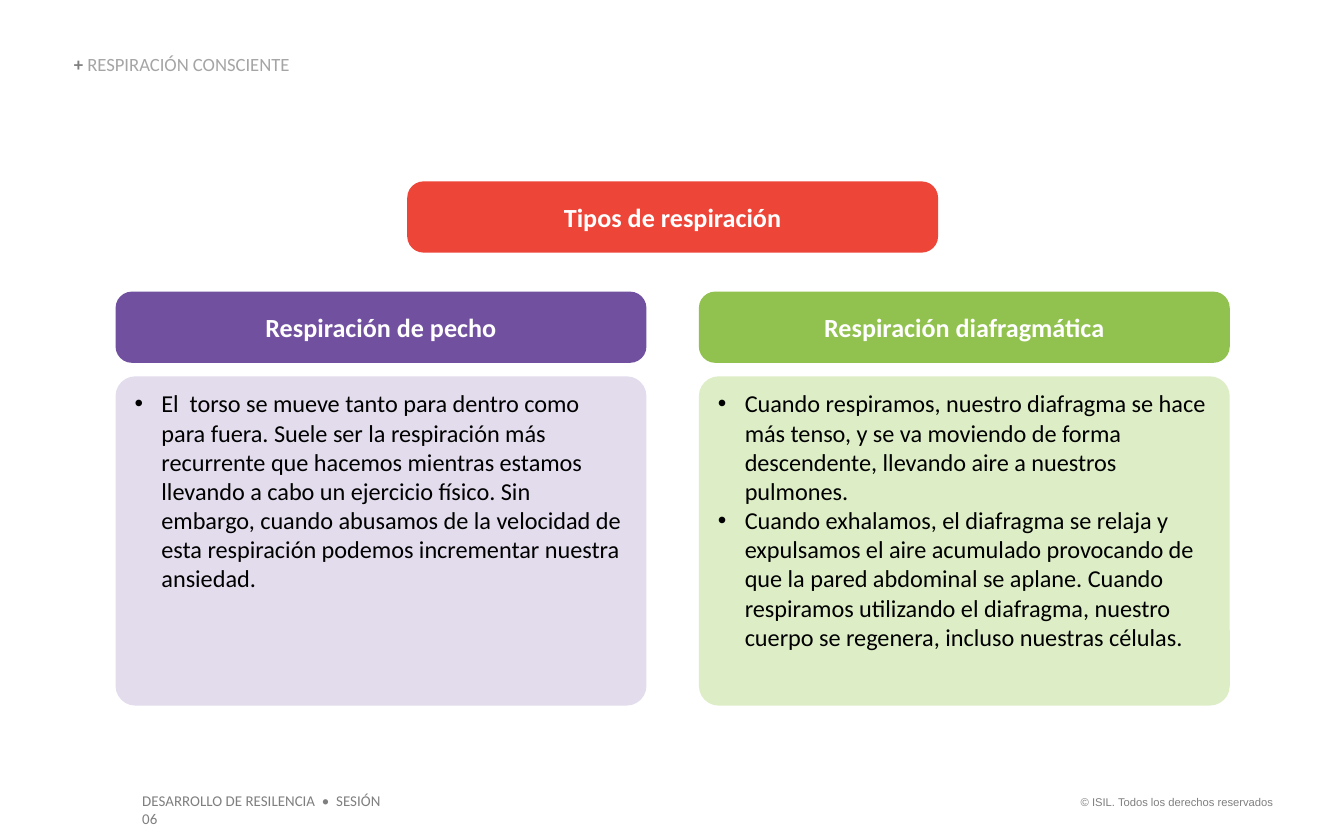
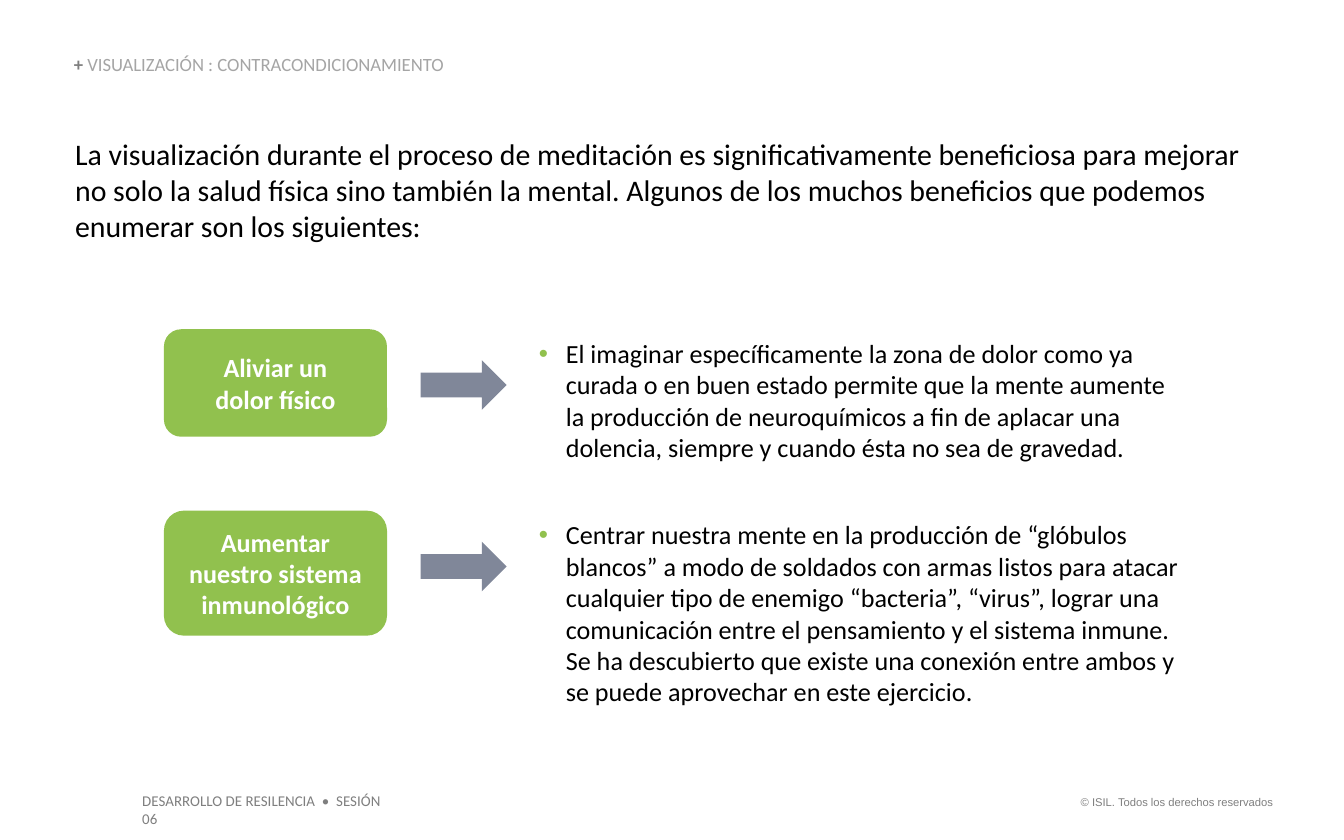
from lxml import etree
from pptx import Presentation
from pptx.dml.color import RGBColor
from pptx.enum.shapes import MSO_SHAPE
from pptx.enum.text import MSO_ANCHOR, MSO_AUTO_SIZE, PP_ALIGN
from pptx.oxml.ns import qn
from pptx.util import Emu, Pt

EMU_PER_PX = 9144
ROUNDED = MSO_SHAPE.ROUNDED_RECTANGLE
ARROW = MSO_SHAPE.RIGHT_ARROW
TOP, MIDDLE, BOTTOM = MSO_ANCHOR.TOP, MSO_ANCHOR.MIDDLE, MSO_ANCHOR.BOTTOM
LEFT, CENTER, RIGHT = PP_ALIGN.LEFT, PP_ALIGN.CENTER, PP_ALIGN.RIGHT
GROW = MSO_AUTO_SIZE.SHAPE_TO_FIT_TEXT
FIXED = MSO_AUTO_SIZE.NONE

TWO_CONTENT_LAYOUT = 3
TITLE_ONLY_LAYOUT = 5

FONT = "Calibri"
FOOTER_FONT = "Arial"
BLACK = "000000"
WHITE = "FFFFFF"
GRAY = "7F7F7F"
TITLE_GRAY = "A5A5A5"
RED = "EE4539"
PURPLE = "7150A0"
PALE_PURPLE = "E3DCED"
GREEN = "91C14E"
PALE_GREEN = "DDEEC7"
SLATE = "808799"

COLUMN_LEFT, COLUMN_PITCH, COLUMN_WIDTH = 86, 434, 395
HEADER_HEIGHT = 53
ROW_TOP, ROW_PITCH = 245, 135

BREATHING_TYPES = [
    ("Respiración de pecho", PURPLE, PALE_PURPLE, [
        "El  torso se mueve tanto para dentro como para fuera. Suele ser la "
        "respiración más recurrente que hacemos mientras estamos llevando a cabo "
        "un ejercicio físico. Sin embargo, cuando abusamos de la velocidad de esta "
        "respiración podemos incrementar nuestra ansiedad.",
    ]),
    ("Respiración diafragmática", GREEN, PALE_GREEN, [
        "Cuando respiramos, nuestro diafragma se hace más tenso, y se va moviendo "
        "de forma descendente, llevando aire a nuestros pulmones.",
        "Cuando exhalamos, el diafragma se relaja y expulsamos el aire acumulado "
        "provocando de que la pared abdominal se aplane. Cuando respiramos "
        "utilizando el diafragma, nuestro cuerpo se regenera, incluso nuestras "
        "células.",
    ]),
]

INTRO = (
    "La visualización durante el proceso de meditación es significativamente "
    "beneficiosa para mejorar no solo la salud física sino también la mental. "
    "Algunos de los muchos beneficios que podemos enumerar son los siguientes:"
)

BENEFITS = [
    ("Aliviar un\ndolor físico", 80, 94,
     "El imaginar específicamente la zona de dolor como ya curada o en buen estado "
     "permite que la mente aumente la producción de neuroquímicos a fin de aplacar "
     "una dolencia, siempre y cuando ésta no sea de gravedad."),
    ("Aumentar nuestro sistema inmunológico", 93, 141,
     "Centrar nuestra mente en la producción de “glóbulos blancos” a modo de "
     "soldados con armas listos para atacar cualquier tipo de enemigo “bacteria”, "
     "“virus”, lograr una comunicación entre el pensamiento y el sistema inmune. "
     "Se ha descubierto que existe una conexión entre ambos y se puede aprovechar "
     "en este ejercicio."),
]


def px(value):
    return Emu(value * EMU_PER_PX)


def rgb(color):
    return RGBColor.from_string(color)


def place(shape, left, top, width, height):
    shape.left, shape.top = px(left), px(top)
    shape.width, shape.height = px(width), px(height)


def format_span(span, size, color, bold=False, font=FONT):
    span.font.name = font
    span.font.size = Pt(size)
    span.font.bold = bold
    span.font.color.rgb = rgb(color)


def set_frame(frame, anchor=TOP, inset_x=10, inset_y=5, fit=FIXED):
    frame.word_wrap = True
    frame.auto_size = fit
    frame.vertical_anchor = anchor
    frame.margin_left = frame.margin_right = px(inset_x)
    frame.margin_top = frame.margin_bottom = px(inset_y)


def write(frame, text, size, color, bold=False, align=LEFT, font=FONT):
    frame.text = text
    for para in frame.paragraphs:
        para.alignment = align
        para.space_before = Pt(0)
        for span in para.runs:
            format_span(span, size, color, bold, font)


def add_bullets(frame, color):
    for para in frame.paragraphs:
        properties = para._p.get_or_add_pPr()
        properties.set("marL", str(px(20)))
        properties.set("indent", str(px(-20)))
        bullet_color = etree.SubElement(properties, qn("a:buClr"))
        etree.SubElement(bullet_color, qn("a:srgbClr"), val=color)
        etree.SubElement(properties, qn("a:buFont"), typeface="Arial")
        etree.SubElement(properties, qn("a:buChar"), char="•")


def add_text(page, bounds, text, size, color, inset_x=10, inset_y=5, **style):
    box = page.shapes.add_textbox(*map(px, bounds))
    set_frame(box.text_frame, TOP, inset_x, inset_y, GROW)
    write(box.text_frame, text, size, color, **style)
    return box


def add_block(page, kind, bounds, fill, corner=None):
    block = page.shapes.add_shape(kind, *map(px, bounds))
    block.shadow.inherit = False
    block.fill.solid()
    block.fill.fore_color.rgb = rgb(fill)
    block.line.fill.background()
    if corner is not None:
        block.adjustments[0] = corner
    return block


def add_label(page, bounds, fill, text, corner):
    label = add_block(page, ROUNDED, bounds, fill, corner)
    set_frame(label.text_frame, MIDDLE)
    write(label.text_frame, text, 14, WHITE, bold=True, align=CENTER)


def add_panel(page, bounds, fill, items):
    panel = add_block(page, ROUNDED, bounds, fill, 0.06)
    set_frame(panel.text_frame)
    write(panel.text_frame, "\n".join(items), 13, BLACK)
    add_bullets(panel.text_frame, BLACK)


def fill_list(body, bounds, text):
    place(body, *bounds)
    set_frame(body.text_frame, TOP, 0, 0, GROW)
    write(body.text_frame, text, 14, BLACK)
    add_bullets(body.text_frame, GREEN)


def add_page(deck, layout, title, title_width):
    page = deck.slides.add_slide(deck.slide_layouts[layout])
    heading = page.shapes.title
    place(heading, 55, 41, title_width, 15)
    set_frame(heading.text_frame, BOTTOM, 0, 0, GROW)
    write(heading.text_frame, "+ ", 10, GRAY, bold=True)
    para = heading.text_frame.paragraphs[0]
    para.line_spacing = 0.9
    span = para.add_run()
    span.text = title
    format_span(span, 10, TITLE_GRAY)
    return page


def move_footers_to_master(deck, page):
    footers = [
        add_text(page, (788, 587, 169, 20), "© ISIL. Todos los derechos reservados",
                 6, GRAY, align=RIGHT, font=FOOTER_FONT),
        add_text(page, (96, 584, 211, 24), "DESARROLLO DE RESILENCIA  •  SESIÓN 06",
                 8, GRAY),
    ]
    for number, footer in enumerate(footers, start=20):
        footer.element.nvSpPr.cNvPr.set("id", str(number))
        deck.slide_master.shapes.element.append(footer.element)


def build_breathing(page):
    add_label(page, (303, 135, COLUMN_WIDTH, HEADER_HEIGHT), RED,
              "Tipos de respiración", 0.23)
    for index, (name, strong, pale, items) in enumerate(BREATHING_TYPES):
        left = COLUMN_LEFT + index * COLUMN_PITCH
        add_label(page, (left, 217, COLUMN_WIDTH, HEADER_HEIGHT), strong, name, 0.23)
        add_panel(page, (left, 280, COLUMN_WIDTH, 245), pale, items)


def build_visualization(page):
    add_text(page, (56, 101, 893, 81), INTRO, 16, BLACK, inset_x=0, inset_y=0)
    for index, (name, label_height, list_height, text) in enumerate(BENEFITS):
        top = ROW_TOP + index * ROW_PITCH
        add_label(page, (122, top, 166, label_height), GREEN, name, 0.16)
        add_block(page, ARROW, (313, top + 23, 64, 37), SLATE)
        fill_list(page.placeholders[index + 1], (401, top + 6, 482, list_height), text)


def main():
    deck = Presentation()
    deck.slide_width, deck.slide_height = px(1000), px(625)
    breathing = add_page(deck, TITLE_ONLY_LAYOUT, "RESPIRACIÓN CONSCIENTE", 266)
    move_footers_to_master(deck, breathing)
    build_breathing(breathing)
    visualization = add_page(deck, TWO_CONTENT_LAYOUT,
                             "VISUALIZACIÓN : CONTRACONDICIONAMIENTO", 456)
    build_visualization(visualization)
    deck.save("out.pptx")


if __name__ == "__main__":
    main()
